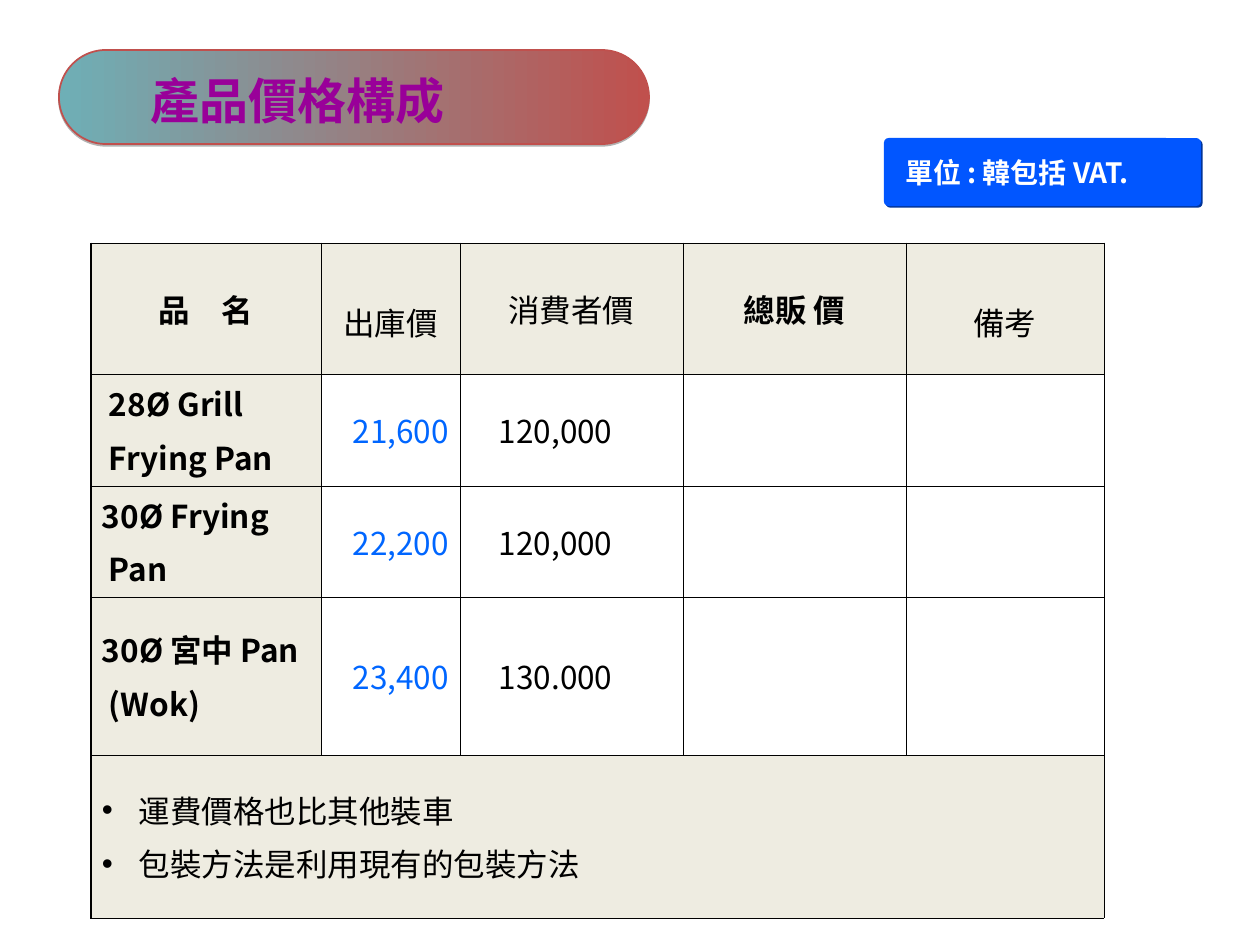
from dataclasses import dataclass
from lxml import etree
from pptx import Presentation
from pptx.dml.color import RGBColor
from pptx.enum.shapes import MSO_SHAPE
from pptx.enum.text import MSO_ANCHOR, MSO_AUTO_SIZE, PP_ALIGN
from pptx.oxml.ns import qn
from pptx.util import Emu, Pt

ROUND = MSO_SHAPE.ROUNDED_RECTANGLE
MIDDLE = MSO_ANCHOR.MIDDLE
NO_FIT = MSO_AUTO_SIZE.NONE
LEFT, CENTER, RIGHT = PP_ALIGN.LEFT, PP_ALIGN.CENTER, PP_ALIGN.RIGHT

FONT = "Noto Sans CJK KR"
BLACK, WHITE, BEIGE, BLUE = "000000", "FFFFFF", "EEECE1", "0066FF"
COL_WIDTHS = (230, 139, 223, 223, 198)
ROW_HEIGHTS = (131, 112, 111, 158, 163)


@dataclass
class Line:
    text: str
    bold: bool = False
    color: str = BLACK
    align: PP_ALIGN = LEFT
    indent: int = 0
    spacing: float | None = None
    bullet: bool = False


@dataclass
class Product:
    name: list[Line]
    factory_price: str
    retail_price: str


HEADERS = (
    Line("品　名", bold=True, align=CENTER),
    Line("出庫價", align=CENTER, spacing=1.6),
    Line("消費者價", align=CENTER),
    Line("總販 價", bold=True, align=CENTER),
    Line("備考", align=CENTER, spacing=1.6),
)
PRODUCTS = (
    Product([Line("28Ø Grill", bold=True, indent=7),
             Line("Frying Pan", bold=True, indent=7)], "21,600", "120,000"),
    Product([Line("30Ø Frying", bold=True),
             Line("Pan", bold=True, indent=7)], "22,200", "120,000"),
    Product([Line("30Ø 宮中 Pan", bold=True),
             Line("(Wok)", bold=True, indent=7)], "23,400", "130.000"),
)
NOTES = [Line("運費價格也比其他裝車", indent=37, bullet=True),
         Line("包裝方法是利用現有的包裝方法", indent=37, bullet=True)]


def px(n: int) -> Emu:
    return Emu(round(n * 914400 / 126))


def rgb(color: str) -> RGBColor:
    return RGBColor.from_string(color)


def write(p, text: str, *, size: int = 18, color: str = BLACK, bold: bool = False,
          align: PP_ALIGN = LEFT, indent: int = 0, bullet: bool = False,
          spacing: float | None = None, before: float = 0) -> None:
    pPr = p._p.get_or_add_pPr()
    pPr.set("marL", str(px(indent)))
    pPr.set("indent", str(-px(indent) if bullet else 0))
    if bullet:
        etree.SubElement(pPr, qn("a:buFont"), typeface="Arial")
        etree.SubElement(pPr, qn("a:buChar"), char="•")
    p.alignment = align
    p.space_before = Pt(before)
    if spacing:
        p.line_spacing = spacing
    r = p.add_run()
    r.text = text
    r.font.size = Pt(size)
    r.font.bold = bold
    r.font.color.rgb = rgb(color)
    r.font.name = FONT
    etree.SubElement(r._r.get_or_add_rPr(), qn("a:ea"), typeface=FONT)


def add_round(s, x: int, y: int, w: int, h: int, radius: float,
              shadow: str, distance: float, angle: int):
    sp = s.shapes.add_shape(ROUND, px(x), px(y), px(w), px(h))
    sp.adjustments[0] = radius
    sp.shadow.inherit = False
    effects = sp._element.spPr.find(qn("a:effectLst"))
    outer = etree.SubElement(effects, qn("a:outerShdw"), dist=str(Pt(distance)),
                             dir=str(angle * 60000), algn="ctr", rotWithShape="0")
    etree.SubElement(outer, qn("a:srgbClr"), val=shadow)
    return sp


def set_borders(cell, left_width: float) -> None:
    tcPr = cell._tc.get_or_add_tcPr()
    widths = {"lnL": left_width, "lnR": 0.45, "lnT": 0.45, "lnB": 0.45}
    for i, (side, width) in enumerate(widths.items()):
        ln = etree.Element(qn(f"a:{side}"), w=str(Pt(width)))
        fill = etree.SubElement(ln, qn("a:solidFill"))
        etree.SubElement(fill, qn("a:srgbClr"), val=BLACK)
        tcPr.insert(i, ln)


def fill_cell(cell, lines: list[Line]) -> None:
    tf = cell.text_frame
    for i, line in enumerate(lines):
        p = tf.add_paragraph() if i else tf.paragraphs[0]
        write(p, line.text, color=line.color, bold=line.bold, align=line.align,
              indent=line.indent, spacing=line.spacing, bullet=line.bullet,
              before=4.5 if i else 0)


def add_unit_label(s) -> None:
    sp = add_round(s, 884, 138, 317, 68, 0.07, "013499", 1.4, 45)
    sp.fill.solid()
    sp.fill.fore_color.rgb = rgb("0156FF")
    sp.line.fill.background()
    tf = sp.text_frame
    tf.word_wrap = False
    tf.vertical_anchor = MIDDLE
    tf.margin_left = px(20)
    write(tf.paragraphs[0], "單位 : 韓包括 VAT.", size=16, color=WHITE, bold=True)


def add_price_table(s) -> None:
    rows, cols = len(ROW_HEIGHTS), len(COL_WIDTHS)
    table = s.shapes.add_table(rows, cols, px(91), px(243), px(sum(COL_WIDTHS)),
                               px(sum(ROW_HEIGHTS))).table
    table.horz_banding = False
    for column, width in zip(table.columns, COL_WIDTHS):
        column.width = px(width)
    for row, height in zip(table.rows, ROW_HEIGHTS):
        row.height = px(height)
    for r in range(rows):
        for c in range(cols):
            cell = table.cell(r, c)
            cell.vertical_anchor = MIDDLE
            cell.margin_left = cell.margin_right = px(11)
            cell.margin_top = cell.margin_bottom = px(6)
            if c == 0 or r in (0, rows - 1):
                cell.fill.solid()
                cell.fill.fore_color.rgb = rgb(BEIGE)
            else:
                cell.fill.background()
            set_borders(cell, 0.45 if c else 1.08)
    for c, header in enumerate(HEADERS):
        fill_cell(table.cell(0, c), [header])
    for r, product in enumerate(PRODUCTS, 1):
        fill_cell(table.cell(r, 0), product.name)
        fill_cell(table.cell(r, 1), [Line(product.factory_price, color=BLUE, align=RIGHT)])
        fill_cell(table.cell(r, 2), [Line(product.retail_price, indent=28)])
    notes = table.cell(rows - 1, 0)
    notes.merge(table.cell(rows - 1, cols - 1))
    fill_cell(notes, NOTES)


def add_title(s) -> None:
    pill = add_round(s, 59, 50, 590, 94, 0.5, "B2B2B2", 1, 90)
    pill.fill.gradient()
    pill.fill.gradient_angle = 0
    for stop, color in zip(pill.fill.gradient_stops, ("6EAFB6", "C0504D")):
        stop.color.rgb = rgb(color)
    pill.line.color.rgb = rgb("C0504D")
    pill.line.width = Pt(1)
    title = s.shapes.title
    title.left, title.top, title.width, title.height = px(97), px(44), px(552), px(112)
    tf = title.text_frame
    tf.auto_size = NO_FIT
    tf.vertical_anchor = MIDDLE
    write(tf.paragraphs[0], "產品價格構成", size=28, color="990099", bold=True, indent=41)
    pill._element.addnext(title._element)


def main() -> None:
    prs = Presentation()
    prs.slide_width, prs.slide_height = px(1260), px(945)
    s = prs.slides.add_slide(prs.slide_layouts[5])
    add_unit_label(s)
    add_price_table(s)
    add_title(s)
    prs.save("out.pptx")


if __name__ == "__main__":
    main()
